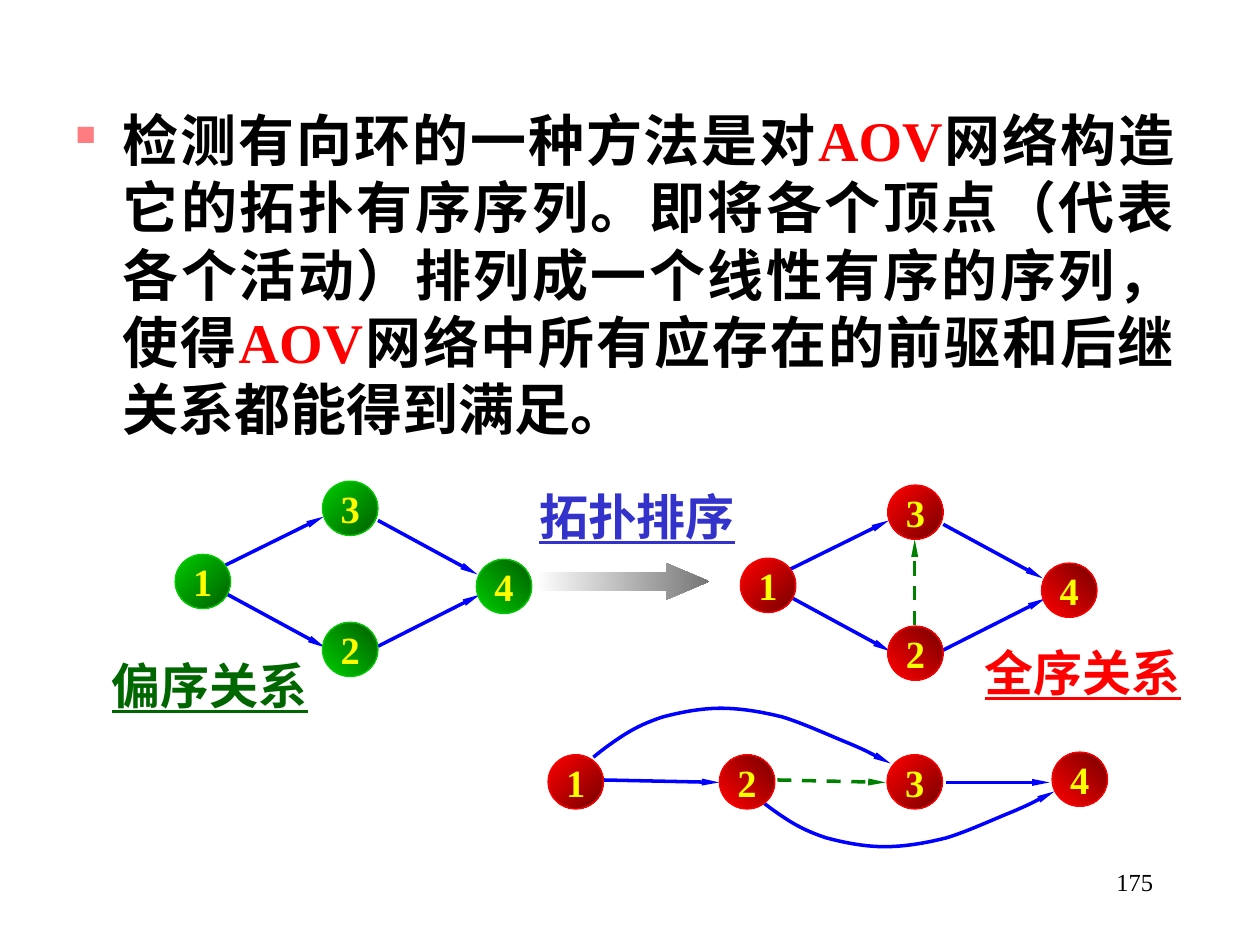
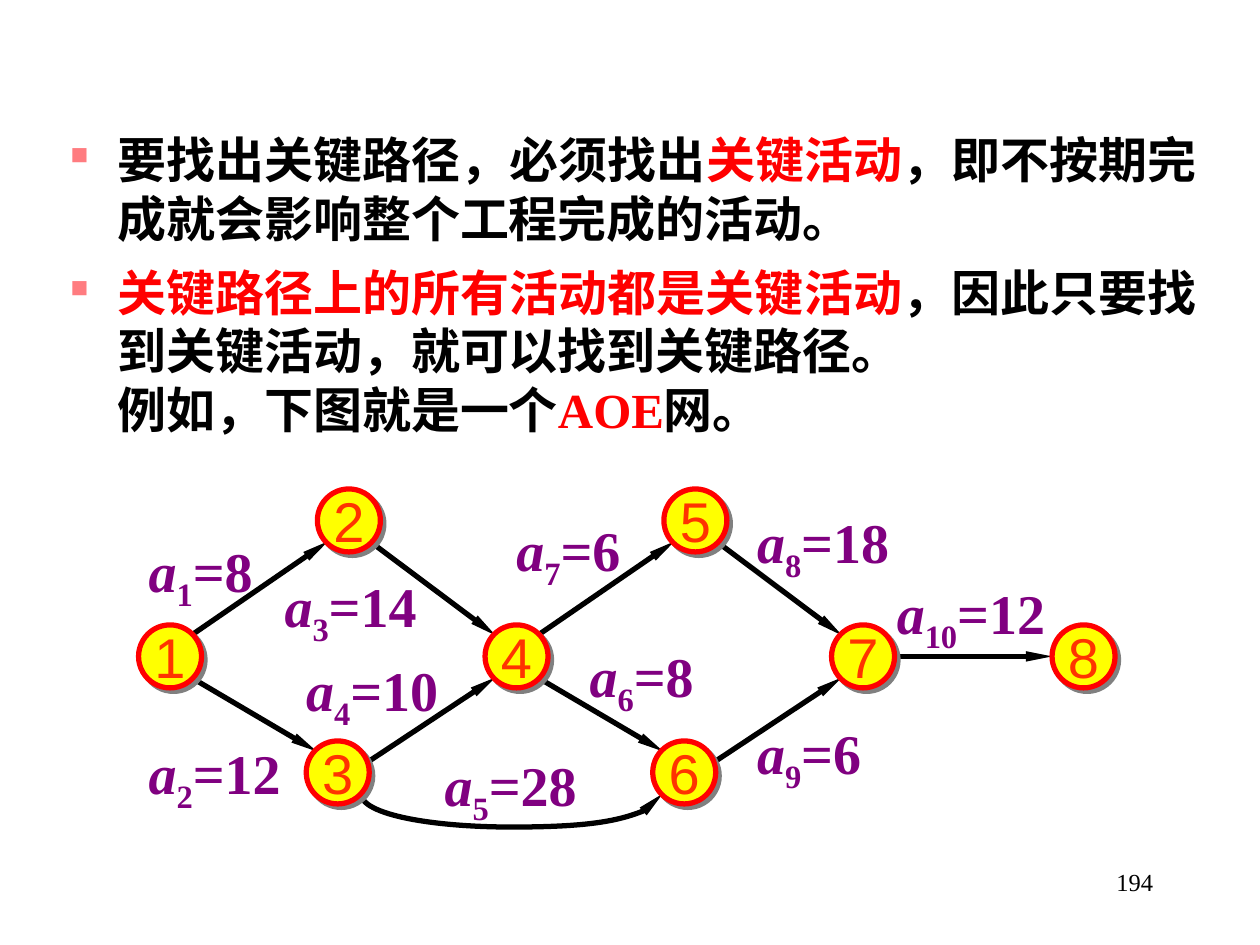
from lxml import etree
from pptx import Presentation
from pptx.dml.color import RGBColor
from pptx.enum.dml import MSO_LINE
from pptx.enum.lang import MSO_LANGUAGE_ID
from pptx.enum.shapes import MSO_CONNECTOR, MSO_SHAPE
from pptx.enum.text import MSO_ANCHOR, MSO_AUTO_SIZE, PP_ALIGN
from pptx.oxml.ns import qn
from pptx.util import Pt

DASH = MSO_LINE.DASH
CHINESE = MSO_LANGUAGE_ID.SIMPLIFIED_CHINESE
STRAIGHT = MSO_CONNECTOR.STRAIGHT
OVAL = MSO_SHAPE.OVAL
RIGHT_ARROW = MSO_SHAPE.RIGHT_ARROW
MIDDLE = MSO_ANCHOR.MIDDLE
GROW = MSO_AUTO_SIZE.SHAPE_TO_FIT_TEXT
LEFT, CENTER, RIGHT = PP_ALIGN.LEFT, PP_ALIGN.CENTER, PP_ALIGN.RIGHT
JUSTIFY = PP_ALIGN.JUSTIFY

COLORS = {
    "black": "000000", "white": "FFFFFF", "red": "FF0000", "dark_red": "760000",
    "green": "00CC00", "dark_green": "005E00", "label_green": "006600",
    "dash_green": "008000", "blue": "0000FF", "label_blue": "3333CC",
    "yellow": "FFFF00", "orange": "FF3300", "purple": "800080",
    "gray": "767676", "shadow": "808080", "bullet": "FF7C80",
}
SERIF, SANS = "Times New Roman", "Arial"
HANGING = 27

SORT_NODE = (31.7, 31)
DIAMOND = {"1": (0, 41.8), "3": (84.2, 0), "2": (84.2, 80.6), "4": (172.1, 44.6)}
DIAMOND_EDGES = [
    ((26.6, 49), (84.9, 20.2)), ((28.8, 64.1), (85.7, 95)),
    ((115.9, 94.3), (174.2, 64.8)), ((115.9, 22.4), (172.8, 53.3)),
]
ARC = [
    (0, 0), (6, -5), (13, -10), (19, -13.7), (25, -17.3), (31, -20.2), (39.6, -23),
    (49, -25.5), (61, -28), (72.7, -28), (84, -28), (96, -26), (108, -23),
    (120, -19.4), (135.4, -12.2), (146.2, -7.9), (156.2, -3.6), (165.6, 1.4),
    (169.9, 3.6),
]

EVENT_SIZE = 36
SITES = {
    "NE": (12, -12), "SE": (12, 12), "NW": (-12, -12), "SW": (-12, 12),
    "ENE": (18, -6.5), "E": (18, 0), "W": (-18, 0),
}
EVENT_EDGES = [
    (1, "NE", 2, "SW"), (1, "SE", 3, "NW"), (2, "SE", 4, "NW"),
    (3, "ENE", 4, "SW"), (4, "NE", 5, "SW"), (4, "SE", 6, "NW"),
    (5, "SE", 7, "NW"), (6, "ENE", 7, "SW"), (7, "E", 8, "W"),
]
ACTIVITIES = [
    ("1", "8", 77.8, 303.1), ("2", "12", 77.8, 418.3), ("3", "14", 155.5, 323.3),
    ("4", "10", 167.8, 370.8), ("5", "28", 247, 425.5), ("6", "8", 329.8, 362.9),
    ("7", "6", 288, 290.9), ("8", "18", 425.5, 286.6), ("9", "6", 425.5, 406.8),
    ("10", "12", 505.4, 326.9),
]


def rgb(name):
    return RGBColor.from_string(COLORS[name])


def points(*values):
    return [Pt(value) for value in values]


def add_run(paragraph, text, size=28, color="black", font=SERIF, bold=True,
            italic=False, underline=False, baseline=0):
    run = paragraph.add_run()
    run.text = text
    run.font.name = font
    run.font.size = Pt(size)
    run.font.bold = bold
    run.font.italic = italic
    run.font.underline = underline
    run.font.color.rgb = rgb(color)
    run.font.language_id = CHINESE
    if baseline:
        run._r.get_or_add_rPr().set("baseline", str(baseline * 1000))


def add_box(slide, left, top, width, height, wrap=False, align=LEFT):
    frame = slide.shapes.add_textbox(*points(left, top, width, height)).text_frame
    frame.word_wrap = wrap
    if not wrap:
        frame.auto_size = GROW
    frame.paragraphs[0].alignment = align
    return frame


def add_body(slide, bounds, size, paragraphs):
    frame = add_box(slide, *bounds, wrap=True)
    for index, (bulleted, space_before, runs) in enumerate(paragraphs):
        paragraph = frame.add_paragraph() if index else frame.paragraphs[0]
        properties = paragraph._p.get_or_add_pPr()
        properties.set("marL", str(Pt(HANGING)))
        properties.set("indent", str(-Pt(HANGING) if bulleted else 0))
        if bulleted:
            color = etree.SubElement(properties, qn("a:buClr"))
            etree.SubElement(color, qn("a:srgbClr"), val=COLORS["bullet"])
            etree.SubElement(properties, qn("a:buSzPct"), val="50000")
            etree.SubElement(properties, qn("a:buChar"), char="■")
        paragraph.alignment = JUSTIFY
        paragraph.space_before = Pt(space_before)
        for text, run_color in runs:
            add_run(paragraph, text, size=size, color=run_color)


def add_slide_number(slide, number):
    frame = add_box(slide, 516.2, 491.8, 149.8, 36, wrap=True, align=RIGHT)
    add_run(frame.paragraphs[0], number, size=14, bold=False)


def add_caption(slide, text, left, top, color):
    frame = add_box(slide, left, top, 126.7, 41)
    add_run(frame.paragraphs[0], text, color=color, underline=True)


def style_arrow(shape, color, width, dashed=False):
    shape.line.color.rgb = rgb(color)
    shape.line.width = Pt(width)
    if dashed:
        shape.line.dash_style = DASH
    properties = shape._element.spPr
    etree.SubElement(properties.find(qn("a:ln")), qn("a:tailEnd"),
                     type="triangle", w="sm", len="lg")
    etree.SubElement(properties, qn("a:effectLst"))


def add_arrow(slide, start, end, color="blue", width=2, dashed=False):
    connector = slide.shapes.add_connector(STRAIGHT, *points(*start, *end))
    style_arrow(connector, color, width, dashed)


def add_curve(slide, curve_points, color="blue", width=2):
    start, *others = [points(*point) for point in curve_points]
    builder = slide.shapes.build_freeform(*start)
    builder.add_line_segments(others, close=False)
    shape = builder.convert_to_shape()
    segments = list(shape._element.iter(qn("a:lnTo")))
    outline = segments[0].getparent()
    for first in range(0, len(segments), 3):
        bezier = etree.SubElement(outline, qn("a:cubicBezTo"))
        for segment in segments[first:first + 3]:
            bezier.append(segment[0])
            outline.remove(segment)
    shape.fill.background()
    style_arrow(shape, color, width)


def fill_gradient(shape, first, last, angle):
    shape.fill.gradient()
    shape.fill.gradient_angle = angle
    for stop, position, color in zip(shape.fill.gradient_stops, (0, 1), (first, last)):
        stop.position = position
        stop.color.rgb = rgb(color)


def add_node(slide, label, left, top, width, height, line_color, line_width, **text_format):
    shape = slide.shapes.add_shape(OVAL, *points(left, top, width, height))
    shape.shadow.inherit = False
    shape.line.color.rgb = rgb(line_color)
    shape.line.width = Pt(line_width)
    frame = shape.text_frame
    frame.word_wrap = False
    frame.vertical_anchor = MIDDLE
    frame.margin_left = frame.margin_right = frame.margin_top = frame.margin_bottom = 0
    frame.paragraphs[0].alignment = CENTER
    add_run(frame.paragraphs[0], label, **text_format)
    return shape


def add_sort_node(slide, label, left, top, color):
    shape = add_node(slide, label, left, top, *SORT_NODE, color, 0.75,
                     size=22, color="yellow")
    fill_gradient(shape, color, "dark_" + color, 45 if label in "24" else 315)


def add_event(slide, label, center_x, center_y):
    radius = EVENT_SIZE / 2
    shape = add_node(slide, label, center_x - radius, center_y - radius,
                     EVENT_SIZE, EVENT_SIZE, "red", 3,
                     size=32, color="orange", font=SANS, bold=False)
    shape.fill.solid()
    shape.fill.fore_color.rgb = rgb("yellow")
    effects = shape._element.spPr.find(qn("a:effectLst"))
    shadow = etree.SubElement(effects, qn("a:outerShdw"), dist=str(Pt(2.8)),
                              dir="2700000", algn="ctr", rotWithShape="0")
    etree.SubElement(shadow, qn("a:srgbClr"), val=COLORS["shadow"])


def add_activity(slide, index, duration, left, top):
    width = 49.2 + 10.4 * len(index) + 16 * len(duration)
    paragraph = add_box(slide, left, top, width, 45.4).paragraphs[0]
    label = {"size": 32, "color": "purple"}
    add_run(paragraph, "a", italic=True, **label)
    add_run(paragraph, index, baseline=-25, **label)
    add_run(paragraph, "=" + duration, **label)


def add_diamond(slide, left, top, color):
    def place(point):
        return left + point[0], top + point[1]

    for start, end in DIAMOND_EDGES:
        add_arrow(slide, place(start), place(end))
    for label, offset in DIAMOND.items():
        add_sort_node(slide, label, *place(offset), color)


def add_sorted_row(slide):
    add_curve(slide, [(339.1 + x, 432.7 + y) for x, y in ARC])
    add_curve(slide, [(432.7 + x, 455.8 - y) for x, y in ARC])
    add_arrow(slide, (344.2, 445.7), (411.1, 447.1))
    add_arrow(slide, (444.2, 445.7), (506.2, 447.1), color="dash_green", dashed=True)
    add_arrow(slide, (540.7, 447.1), (599.8, 447.1))
    for label, left, top in (("1", 313.2, 431.3), ("2", 411.1, 431.3),
                             ("3", 506.9, 431.3), ("4", 601.2, 429.8)):
        add_sort_node(slide, label, left, top, "red")


def build_topological_sort(slide):
    add_body(slide, (36, 56.9, 642.2, 198.7), 32, [(True, 0, [
        ("检测有向环的一种方法是对", "black"), ("AOV", "red"),
        ("网络构造它的拓扑有序序列。即将各个顶点（代表各个活动）"
         "排列成一个线性有序的序列，使得", "black"),
        ("AOV", "red"), ("网络中所有应存在的前驱和后继关系都能得到满足。", "black"),
    ])])
    add_diamond(slide, 100.1, 275, "green")
    add_diamond(slide, 423.1, 277.2, "red")
    add_arrow(slide, (522.7, 357.1), (522.7, 308.2), color="dash_green", dashed=True)
    arrow = slide.shapes.add_shape(RIGHT_ARROW, *points(306, 321.8, 99.4, 20.9))
    arrow.shadow.inherit = False
    arrow.adjustments[0], arrow.adjustments[1] = 0.5, 1.18
    arrow.line.fill.background()
    fill_gradient(arrow, "white", "gray", 0)
    add_sorted_row(slide)
    add_caption(slide, "拓扑排序", 301, 274.3, "label_blue")
    add_caption(slide, "偏序关系", 56.9, 370.8, "label_green")
    add_caption(slide, "全序关系", 555.8, 363.6, "red")
    add_slide_number(slide, "175")


def build_critical_path(slide):
    unit = [(97.2, 375.1), (199.4, 297.4), (193, 441.4)]
    centers = [(x + shift, y) for shift in (0, 198) for x, y in unit]
    centers += [(493.2, 375.1), (619.2, 375.1)]

    def site(number, name):
        return [a + b for a, b in zip(centers[number - 1], SITES[name])]

    for source, exit_site, target, entry_site in EVENT_EDGES:
        add_arrow(slide, site(source, exit_site), site(target, entry_site),
                  color="black", width=3)
    add_curve(slide, [(206, 453), (206, 466), (249, 472.6), (292.4, 472.6),
                      (335.5, 472.6), (378.7, 466), (378.7, 453.6)],
              color="black", width=3)
    for number, center in enumerate(centers, 1):
        add_event(slide, str(number), *center)
    for activity in ACTIVITIES:
        add_activity(slide, *activity)
    add_body(slide, (33.1, 70.6, 658.1, 192.2), 28, [
        (True, 0, [("要找出关键路径，必须找出", "black"), ("关键活动", "red"),
                   ("，即不按期完成就会影响整个工程完成的活动。", "black")]),
        (True, 8.4, [("关键路径上的所有活动都是关键活动", "red"),
                     ("，因此只要找到关键活动，就可以找到关键路径。", "black")]),
        (False, 0, [("例如，下图就是一个", "black"), ("AOE", "red"), ("网。", "black")]),
    ])
    add_slide_number(slide, "194")


def main():
    presentation = Presentation()
    presentation.slide_width, presentation.slide_height = points(720, 540)
    blank = presentation.slide_layouts[6]
    for build in (build_topological_sort, build_critical_path):
        build(presentation.slides.add_slide(blank))
    presentation.save("out.pptx")


if __name__ == "__main__":
    main()
